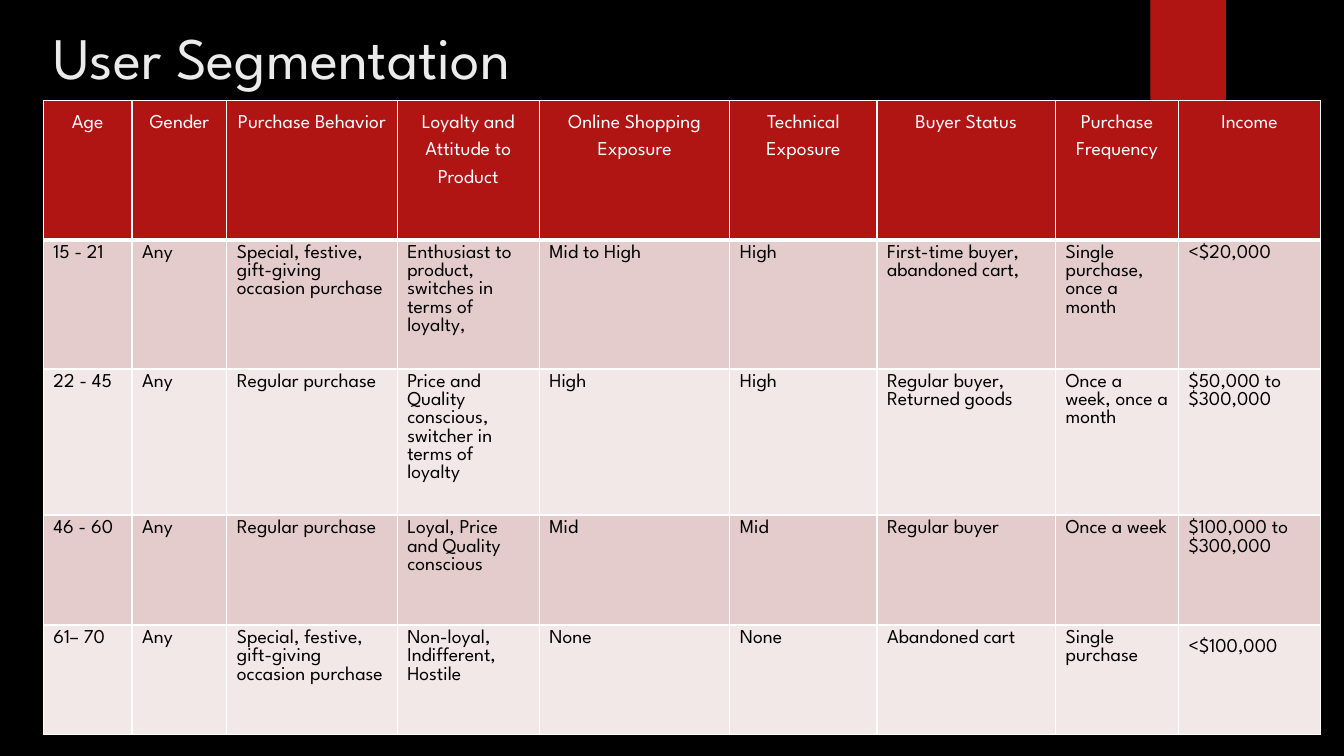
from lxml.etree import SubElement
from pptx import Presentation
from pptx.dml.color import RGBColor
from pptx.enum.shapes import MSO_SHAPE
from pptx.enum.text import MSO_ANCHOR, MSO_AUTO_SIZE, PP_ALIGN
from pptx.oxml.ns import qn
from pptx.util import Inches, Pt

TITLE = "User Segmentation"
HEADINGS = ["Age", "Gender", "Purchase Behavior", "Loyalty and Attitude to Product",
            "Online Shopping Exposure", "Technical Exposure", "Buyer Status",
            "Purchase Frequency", "Income"]
SEGMENTS = [
    ["15 - 21", "Any", "Special, festive, gift-giving occasion purchase",
     "Enthusiast to product, switches in terms of loyalty,", "Mid to High", "High",
     "First-time buyer, abandoned cart,", "Single purchase, once a month", "<$20,000"],
    ["22 - 45", "Any", "Regular purchase",
     "Price and Quality conscious, switcher in terms of loyalty", "High", "High",
     "Regular buyer, Returned goods", "Once a week, once a month", "$50,000 to $300,000"],
    ["46 - 60", "Any", "Regular purchase", "Loyal, Price and Quality conscious",
     "Mid", "Mid", "Regular buyer", "Once a week", "$100,000 to $300,000"],
    ["61– 70", "Any", "Special, festive, gift-giving occasion purchase",
     "Non-loyal, Indifferent, Hostile", "None", "None", "Abandoned cart",
     "Single purchase", "<$100,000"],
]
COLUMN_WIDTHS = [0.88, 0.94, 1.69, 1.41, 1.89, 1.46, 1.77, 1.22, 1.41]
ROW_HEIGHTS = [1.38, 1.28, 1.45, 1.09, 1.09]
WIDE_SPACED = (len(SEGMENTS), len(HEADINGS) - 1)  # last income cell

FONT = "League Spartan"
COLORS = {"background": "000000", "accent": "B01513", "title": "EBEBEB",
          "heading": "FFFFFF", "body": "000000", "border": "FFFFFF",
          "odd": "E4CCCC", "even": "F2E8E7"}


def color(key):
    return RGBColor.from_string(COLORS[key])


def paint(fill, key):
    fill.solid()
    fill.fore_color.rgb = color(key)


def add_run(paragraph, text, size, key):
    run = paragraph.add_run()
    run.text = text
    run.font.name = FONT
    run.font.size = Pt(size)
    run.font.color.rgb = color(key)


def add_borders(cell, top, bottom):
    """Draw the four cell borders; call before filling the cell."""
    properties = cell._tc.get_or_add_tcPr()
    for side, width in (("L", 1), ("R", 1), ("T", top), ("B", bottom)):
        line = SubElement(properties, qn(f"a:ln{side}"), w=str(Pt(width)))
        solid = SubElement(line, qn("a:solidFill"))
        SubElement(solid, qn("a:srgbClr"), val=COLORS["border"])


def add_title(slide):
    title = slide.shapes.title
    title.left, title.top = Inches(0.43), Inches(0.1)
    title.width, title.height = Inches(10.29), Inches(0.92)
    frame = title.text_frame
    frame.auto_size = MSO_AUTO_SIZE.NONE
    frame.vertical_anchor = MSO_ANCHOR.MIDDLE
    frame.paragraphs[0].alignment = PP_ALIGN.LEFT
    add_run(frame.paragraphs[0], TITLE, 42, "title")


def add_accent_bar(slide):
    bar = slide.shapes.add_shape(MSO_SHAPE.RECTANGLE, Inches(11.41), 0,
                                 Inches(0.75), Inches(1.25))
    bar.shadow.inherit = False
    paint(bar.fill, "accent")
    bar.line.fill.background()


def add_segment_table(slide):
    rows = [HEADINGS] + SEGMENTS
    table = slide.shapes.add_table(
        len(rows), len(HEADINGS), Inches(0.43), Inches(1),
        Inches(sum(COLUMN_WIDTHS)), Inches(sum(ROW_HEIGHTS))).table
    for column, width in zip(table.columns, COLUMN_WIDTHS):
        column.width = Inches(width)
    for row, height in zip(table.rows, ROW_HEIGHTS):
        row.height = Inches(height)
    for r, texts in enumerate(rows):
        is_header = r == 0
        band = "accent" if is_header else "odd" if r % 2 else "even"
        for c, text in enumerate(texts):
            cell = table.cell(r, c)
            add_borders(cell, top=3 if r == 1 else 1, bottom=3 if is_header else 1)
            paint(cell.fill, band)
            paragraph = cell.text_frame.paragraphs[0]
            if is_header:
                paragraph.alignment = PP_ALIGN.CENTER
            if is_header or (r, c) == WIDE_SPACED:
                paragraph.line_spacing = 1.5
            add_run(paragraph, text, 14, "heading" if is_header else "body")


def main():
    deck = Presentation()
    deck.slide_width, deck.slide_height = Inches(13.33), Inches(7.5)
    slide = deck.slides.add_slide(deck.slide_layouts[5])
    paint(slide.background.fill, "background")
    add_title(slide)
    add_accent_bar(slide)
    add_segment_table(slide)
    deck.save("out.pptx")


if __name__ == "__main__":
    main()
